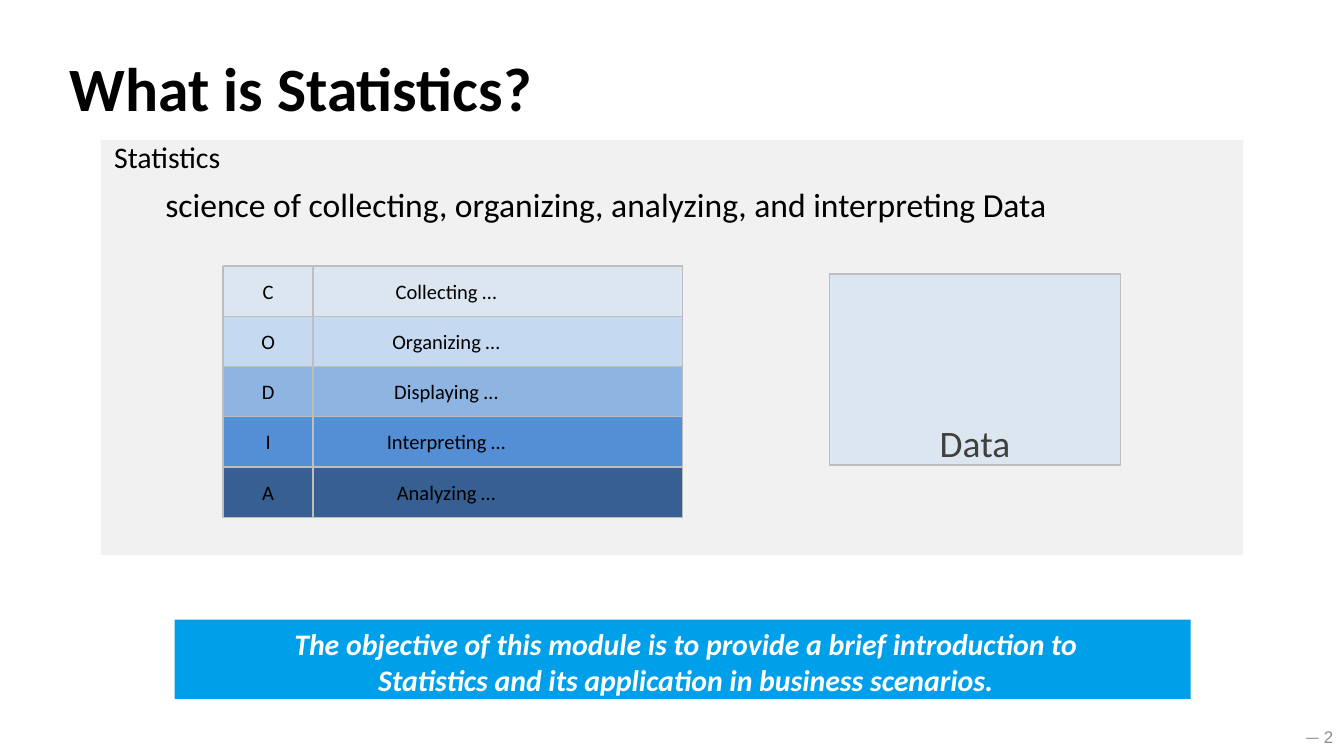
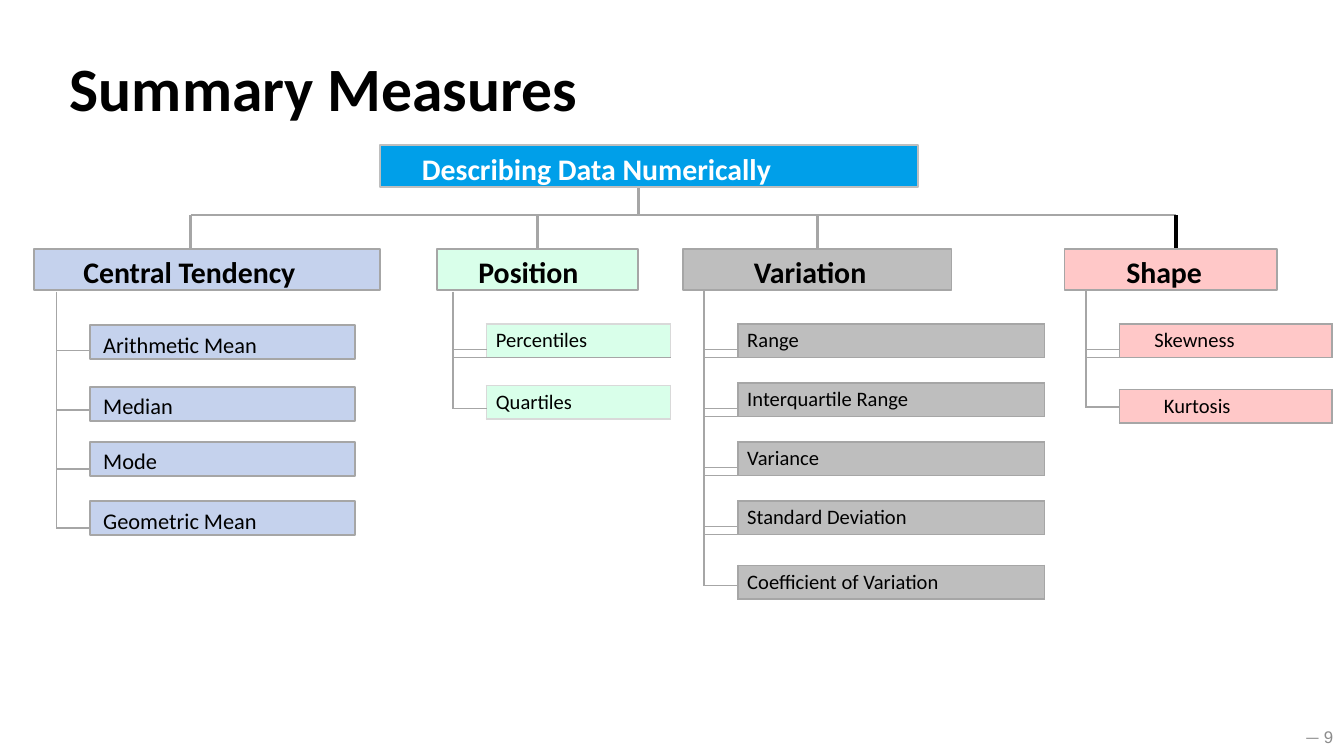
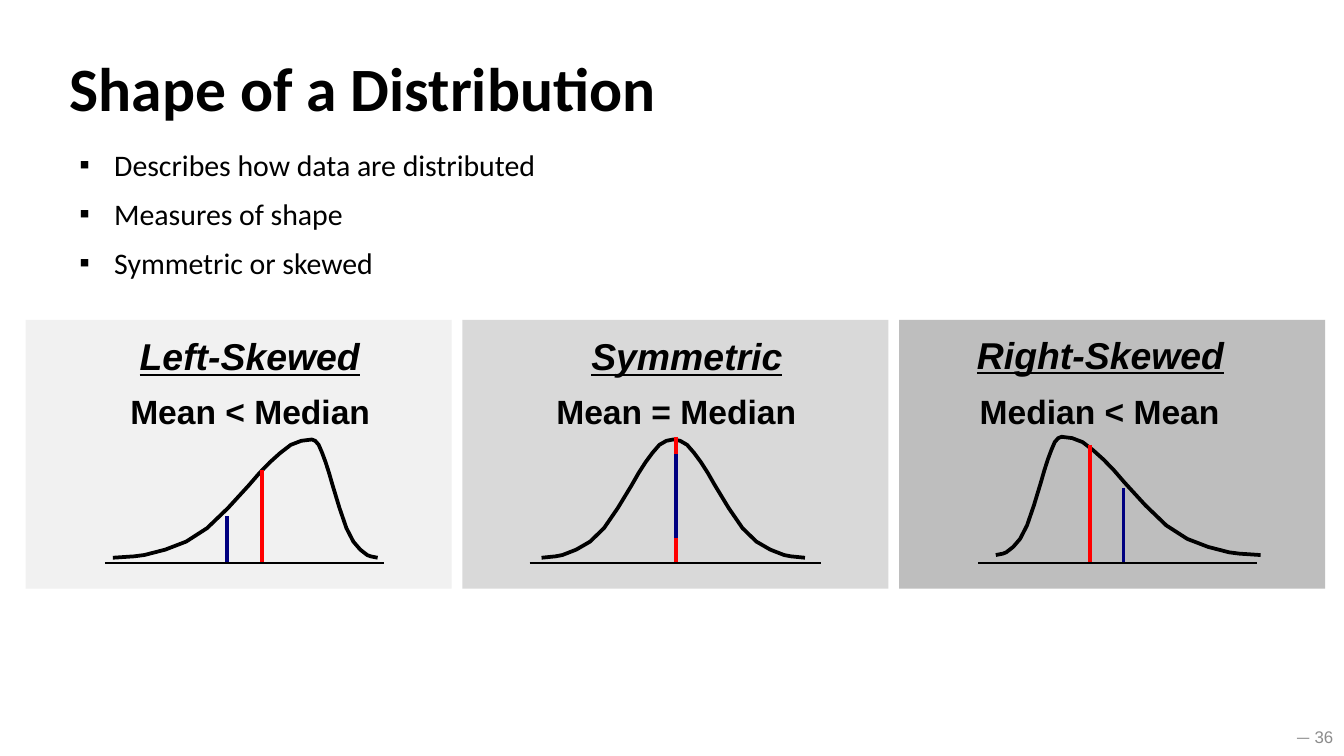
from dataclasses import dataclass

from lxml.etree import SubElement
from pptx import Presentation
from pptx.dml.color import RGBColor
from pptx.enum.shapes import MSO_CONNECTOR, MSO_SHAPE
from pptx.enum.text import MSO_ANCHOR, MSO_AUTO_SIZE, PP_ALIGN
from pptx.oxml import parse_xml
from pptx.oxml.ns import nsdecls, qn
from pptx.util import Inches, Pt


@dataclass(frozen=True)
class Theme:
    body_font: str = "Calibri"
    accent_font: str = "Arial"
    black: str = "000000"
    white: str = "FFFFFF"
    muted: str = "8C8C8C"
    dark_grey: str = "404040"
    rule: str = "A6A6A6"
    grey: str = "BEBEBE"
    mid_grey: str = "D9D9D9"
    pale_grey: str = "F1F1F1"
    bright_blue: str = "009FE9"
    ice: str = "DCE6F1"
    sky: str = "C5D9F0"
    soft_blue: str = "8EB4E2"
    medium_blue: str = "548ED4"
    deep_blue: str = "375F92"
    periwinkle: str = "C5D2ED"
    mint: str = "D9FFEA"
    pink: str = "FFC8C8"
    median_red: str = "FF0000"
    mean_navy: str = "000080"
    title_size: float = 33
    heading_size: float = 16
    large_size: float = 20
    lead_size: float = 18
    leaf_size: float = 12
    cell_size: float = 11
    page_size: float = 9


T = Theme()
NO_TABLE_STYLE = "{2D5ABB26-0587-4C30-8999-92F81FD0307C}"


def write(frame, text, size, color=T.black, font=T.body_font, bold=False, italic=False,
          underline=False, align=PP_ALIGN.LEFT, inset=(0, 0), anchor=MSO_ANCHOR.TOP):
    """Fill a frame, one paragraph per line; inset is left and top in inches."""
    frame.text = text
    frame.word_wrap = True
    frame.auto_size = MSO_AUTO_SIZE.NONE
    frame.vertical_anchor = anchor
    frame.margin_left, frame.margin_top = map(Inches, inset)
    frame.margin_right = frame.margin_bottom = 0
    for paragraph in frame.paragraphs:
        paragraph.alignment = align
        for run in paragraph.runs:
            run.font.name, run.font.size = font, Pt(size)
            run.font.bold, run.font.italic, run.font.underline = bold, italic, underline
            run.font.color.rgb = RGBColor.from_string(color)


def draw_line(slide, x1, y1, x2, y2, color, width):
    line = slide.shapes.add_connector(MSO_CONNECTOR.STRAIGHT, *map(Inches, (x1, y1, x2, y2)))
    line.line.color.rgb = RGBColor.from_string(color)
    line.line.width = Pt(width)
    SubElement(line._element.spPr, qn("a:effectLst"))


prs = Presentation()
prs.slide_width = Inches(10)
prs.slide_height = prs.slide_width * 9 // 16

# Title and page number on every slide
slides = []
for title, page in (("What is Statistics?", "2"), ("Summary Measures", "9"),
                    ("Shape of a Distribution", "36")):
    slide = prs.slides.add_slide(prs.slide_layouts[5])
    heading = slide.shapes.title
    heading.left, heading.top, heading.width, heading.height = map(Inches, (0.5, 0.35, 6.51, 0.57))
    write(heading.text_frame, title, T.title_size, bold=True, inset=(0.02, 0.02))
    number = slide.shapes.add_textbox(*map(Inches, (9.59, 5.41, 0.33, 0.14))).text_frame
    write(number, "— ", T.page_size, T.muted, align=PP_ALIGN.RIGHT)
    digits = number.paragraphs[0].add_run()
    digits.text = page
    digits.font.name, digits.font.size = T.accent_font, Pt(T.page_size)
    digits.font.color.rgb = RGBColor.from_string(T.muted)
    slides.append(slide)
intro, measures, distribution = slides

# Filled rectangles: slide, position, fill, outline, outline width, text, text format
centred = dict(align=PP_ALIGN.CENTER)
boxes = [
    (intro, (0.75, 1.04, 8.5, 3.09), T.pale_grey, None, 0, "", dict(size=T.heading_size)),
    (intro, (6.17, 2.04, 2.17, 1.42), T.ice, T.grey, 0.75, "Data",
     dict(size=T.large_size, color=T.dark_grey, anchor=MSO_ANCHOR.BOTTOM, **centred)),
    (intro, (1.3, 4.61, 7.56, 0.59), T.bright_blue, None, 0,
     "The objective of this module is to provide a brief introduction to\n"
     "Statistics and its application in business scenarios.",
     dict(size=T.heading_size, color=T.white, bold=True, italic=True, inset=(0.05, 0.05), **centred)),
    (measures, (2.83, 1.08, 4, 0.31), T.bright_blue, T.grey, 1, "Describing Data Numerically",
     dict(size=T.heading_size, color=T.white, bold=True, inset=(0.31, 0.04))),
]
for branch, left, width, fill, indent in (
        ("Central Tendency", 0.25, 2.58, T.periwinkle, 0.37),
        ("Position", 3.25, 1.5, T.mint, 0.31),
        ("Variation", 5.08, 2, T.grey, 0.53),
        ("Shape", 7.92, 1.58, T.pink, 0.46)):
    boxes.append((measures, (left, 1.85, width, 0.31), fill, T.rule, 1, branch,
                  dict(size=T.heading_size, bold=True, inset=(indent, 0.04))))
for measure, top in (("Arithmetic Mean", 2.42), ("Median", 2.88),
                     ("Mode", 3.29), ("Geometric Mean", 3.73)):
    boxes.append((measures, (0.67, top, 1.97, 0.25), T.periwinkle, T.rule, 1, measure,
                  dict(size=T.leaf_size, inset=(0.1, 0.04))))
for column, fill in enumerate((T.pale_grey, T.mid_grey, T.grey)):
    boxes.append((distribution, (0.19 + 3.25 * column, 2.38, 3.17, 2), fill, None, 0, "",
                  dict(size=T.heading_size)))

# Tree lines lie behind the boxes
tree = [(4.75, 1.38, 4.75, 1.61, T.rule, 1.62), (1.42, 1.6, 8.75, 1.6, T.rule, 1.5),
        (0.42, 2.17, 0.42, 3.92, T.rule, 0.75)]
for x, color in ((1.42, T.rule), (4, T.rule), (6.08, T.rule), (8.75, T.black)):
    tree.append((x, 1.6, x, 1.85, color, 1.62))
for row in range(4):
    y = 2.61 + 0.44 * row
    tree.append((0.42, y, 0.67, y, T.rule, 0.75))
for segment in tree:
    draw_line(measures, *segment)

for slide, place, fill, outline, weight, text, style in boxes:
    box = slide.shapes.add_shape(MSO_SHAPE.RECTANGLE, *map(Inches, place))
    box.shadow.inherit = False
    box.fill.solid()
    box.fill.fore_color.rgb = RGBColor.from_string(fill)
    if outline:
        box.line.color.rgb = RGBColor.from_string(outline)
        box.line.width = Pt(weight)
    else:
        box.line.fill.background()
    if text:
        write(box.text_frame, text, **style)

# What is Statistics?
definition = intro.shapes.add_textbox(*map(Inches, (0.84, 0.95, 7.59, 0.72))).text_frame
write(definition, "Statistics\nscience of collecting, organizing, analyzing, and interpreting Data",
      T.heading_size, inset=(0.01, 0.08))
meaning = definition.paragraphs[1]
meaning.space_before = Pt(5)
meaning.runs[0].font.size = Pt(T.lead_size)
meaning._p.get_or_add_pPr().set("marL", str(Inches(0.38)))

steps = (("Collecting …", "C", T.ice), ("Organizing …", "O", T.sky),
         ("Displaying …", "D", T.soft_blue), ("Interpreting …", "I", T.medium_blue),
         ("Analyzing …", "A", T.deep_blue))
borders = []  # cell, sides in L R T B order, colour, width
step_table = intro.shapes.add_table(5, 2, *map(Inches, (1.66, 1.98, 3.42, 1.87))).table
step_table.columns[0].width, step_table.columns[1].width = Inches(0.67), Inches(2.75)
for row, (step, letter, fill) in enumerate(steps):
    step_table.rows[row].height = Inches(1.87 / len(steps))
    for column, (text, right) in enumerate(((letter, 0), (step, 0.77))):
        cell = step_table.cell(row, column)
        write(cell.text_frame, text, T.cell_size, **centred)
        cell.margin_left = cell.margin_bottom = 0
        cell.margin_top, cell.margin_right = Inches(0.1), Inches(right)
        cell.fill.solid()
        cell.fill.fore_color.rgb = RGBColor.from_string(fill)
        borders.append((cell, "LRTB", T.grey, 0.75))

# Summary Measures: each measure takes a gap row and two label rows,
# and the narrow first column carries the tree lines as borders
branches = (
    (3.37, 2.17, 1.37, T.mint, T.mid_grey, (("Percentiles", 0.07), ("Quartiles", 0.07)),
     (0.24, 0.19, 0.06, 0.21, 0.17, 0.08)),
    (5.24, 2.16, 2.28, T.grey, T.rule,
     (("Range", 0.07), ("Interquartile Range", 0.07), ("Variance", 0.07),
      ("Standard Deviation", 0.07), ("Coefficient of Variation", 0.07)),
     (0.25, 0.19, 0.06) + (0.19, 0.19, 0.06) * 3 + (0.23, 0.15, 0.1)),
    (8.08, 2.16, 1.58, T.pink, T.rule, (("Skewness", 0.26), ("Kurtosis", 0.33)),
     (0.25, 0.19, 0.06, 0.24, 0.13, 0.12)),
)
for left, top, label_width, fill, outline, labels, heights in branches:
    place = (left, top, 0.25 + label_width, sum(heights))
    branch_table = measures.shapes.add_table(len(heights), 2, *map(Inches, place)).table
    branch_table.columns[0].width = Inches(0.25)
    branch_table.columns[1].width = Inches(label_width)
    for row, height in zip(branch_table.rows, heights):
        row.height = Inches(height)
    for cell in branch_table.iter_cells():
        cell.margin_left = cell.margin_right = cell.margin_top = cell.margin_bottom = 0
        cell.fill.background()
    for index, (measure, indent) in enumerate(labels):
        gap, upper, lower = range(3 * index, 3 * index + 3)
        is_last = index == len(labels) - 1
        branch_table.cell(gap, 0).merge(branch_table.cell(gap, 1))
        label = branch_table.cell(upper, 1)
        label.merge(branch_table.cell(lower, 1))
        write(label.text_frame, measure, T.cell_size)
        label.margin_left, label.margin_top = Inches(indent), Inches(0.03)
        label.fill.solid()
        label.fill.fore_color.rgb = RGBColor.from_string(fill)
        borders += [
            (branch_table.cell(gap, 0), "L", T.rule, 1),
            (branch_table.cell(upper, 0), "LB", T.rule, 1),
            (branch_table.cell(lower, 0), "T" if is_last else "LTB", T.rule, 1),
            (label, "LRTB", outline, 1),
        ]

for cell, sides, color, width in borders:
    properties = cell._tc.get_or_add_tcPr()
    for position, side in enumerate(sides):
        properties.insert(position, parse_xml(
            f'<a:ln{side} {nsdecls("a")} w="{Pt(width)}"><a:solidFill>'
            f'<a:srgbClr val="{color}"/></a:solidFill></a:ln{side}>'))

for slide in (intro, measures):
    for grid in (shape.table for shape in slide.shapes if shape.has_table):
        grid.first_row = grid.horz_banding = False
        grid._tbl.tblPr.find(qn("a:tableStyleId")).text = NO_TABLE_STYLE
        for cell in grid.iter_cells():
            if not cell.text_frame.text:  # keeps the thin rows thin
                SubElement(cell.text_frame.paragraphs[0]._p, qn("a:endParaRPr")).set("sz", "100")

# Shape of a Distribution
points = distribution.shapes.add_textbox(*map(Inches, (0.57, 0.98, 3.71, 1.12))).text_frame
write(points, "Describes how data are distributed\nMeasures of shape\nSymmetric or skewed",
      T.heading_size, inset=(0.01, 0.11))
for index, point in enumerate(points.paragraphs):
    properties = point._p.get_or_add_pPr()
    properties.set("marL", str(Inches(0.27)))
    properties.set("indent", str(Inches(-0.26)))
    SubElement(properties, qn("a:buFont")).set("typeface", T.accent_font)
    SubElement(properties, qn("a:buChar")).set("char", "▪")
    if index:
        point.space_before = Pt(7)

# Half of a bell: steps out of 19 from foot to peak, and height in inches
half_bell = tuple(zip(
    (0, 2, 3, 4, 5, 6, 7, 9, 11, 13, 14, 15, 16, 17, 18, 19),
    (0, 0.01, 0.02, 0.04, 0.06, 0.09, 0.12, 0.22, 0.37, 0.54, 0.63, 0.71, 0.78, 0.84, 0.87, 0.88)))
AXIS_Y = 4.19
# Name, its place, relation, its left, (peak, left reach, right reach, foot),
# axis ends, median (x, top), mean (x, top, bottom)
curves = (
    ("Left-Skewed", (1.03, 2.46, 1.8, 0.27), "Mean < Median", 0.95,
     (2.32, 1.48, 0.49, 4.15), (0.78, 2.86), (1.95, 3.5), (1.69, 3.84, AXIS_Y)),
    ("Symmetric", (4.39, 2.46, 1.6, 0.27), "Mean = Median", 4.12,
     (5.01, 0.98, 0.98, 4.15), (3.94, 6.11), (5.03, 3.25), (5.03, 3.38, 4)),
    ("Right-Skewed", (7.26, 2.45, 2, 0.27), "Median < Mean", 7.27,
     (7.9, 0.49, 1.48, 4.13), (7.28, 9.35), (8.11, 3.31), (8.36, 3.63, AXIS_Y)),
)
for name, place, relation, relation_left, bell, axis, median, mean in curves:
    peak, left_reach, right_reach, foot = bell
    rise = [(peak - left_reach * (1 - step / 19), foot - height) for step, height in half_bell]
    fall = [(peak + right_reach * (1 - step / 19), foot - height) for step, height in half_bell]
    outline = [(Inches(x), Inches(y)) for x, y in rise + fall[-2::-1]]
    builder = distribution.shapes.build_freeform(*outline[0])
    builder.add_line_segments(outline[1:], close=False)
    curve = builder.convert_to_shape()
    curve.shadow.inherit = False
    curve.fill.background()
    curve.line.color.rgb = RGBColor.from_string(T.black)
    curve.line.width = Pt(2)

    draw_line(distribution, *median, median[0], AXIS_Y, T.median_red, 2)
    draw_line(distribution, *mean[:2], mean[0], mean[2], T.mean_navy, 2)
    draw_line(distribution, axis[0], AXIS_Y, axis[1], AXIS_Y, T.black, 1)

    caption = distribution.shapes.add_textbox(*map(Inches, place)).text_frame
    write(caption, name, T.large_size, font=T.accent_font, bold=True, italic=True,
          underline=True, inset=(0.01, 0.02))
    relation_place = (relation_left, 2.9, 1.9, 0.25)
    comparison = distribution.shapes.add_textbox(*map(Inches, relation_place)).text_frame
    write(comparison, relation, T.lead_size, font=T.accent_font, bold=True, inset=(0.02, 0.01))

prs.save("out.pptx")
